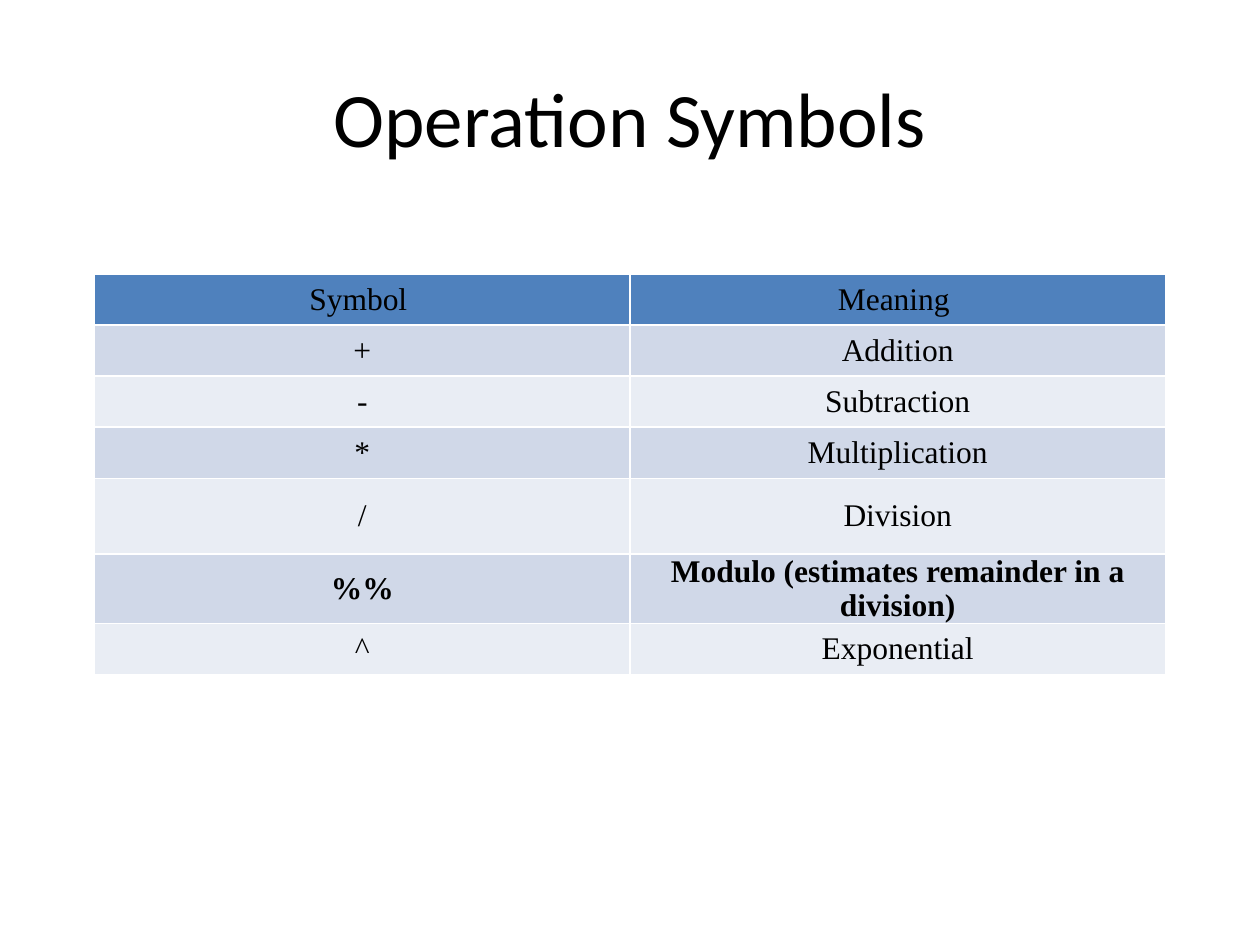
from dataclasses import dataclass

import pptx
import pptx.dml.color
import pptx.enum.text
import pptx.util

Pt = pptx.util.Pt
CENTER = pptx.enum.text.PP_ALIGN.CENTER
MIDDLE = pptx.enum.text.MSO_ANCHOR.MIDDLE

COLORS = {
    "text": "000000",
    "header": "4F81BD",
    "odd_row": "D0D8E8",
    "even_row": "E9EDF4",
}
TITLE_FONT = {"name": "Calibri", "size": Pt(44), "bold": False}
TABLE_FONT = {"name": "Times New Roman", "size": Pt(18)}
TITLE_BOX = {"left": Pt(36), "top": Pt(21.6), "width": Pt(648), "height": Pt(90)}
CELL_FORMAT = {
    "margin_left": Pt(5),
    "margin_right": Pt(5),
    "margin_top": Pt(0),
    "margin_bottom": Pt(0),
    "vertical_anchor": MIDDLE,
}
TABLE_LEFT, TABLE_TOP, COLUMN_WIDTH = 54, 156.5, 306


@dataclass
class Operation:
    symbol: str
    meaning: str
    height: float = 29.2
    bold: bool = False


OPERATIONS = [
    Operation("Symbol ", "Meaning "),
    Operation("+", "Addition"),
    Operation("-", "Subtraction"),
    Operation("*", "Multiplication"),
    Operation("/", "Division", height=43.2),
    Operation("%%", "Modulo (estimates remainder in a division)", bold=True),
    Operation("^", "Exponential"),
]


def rgb(name: str) -> pptx.dml.color.RGBColor:
    return pptx.dml.color.RGBColor.from_string(COLORS[name])


def apply_format(target, values: dict) -> None:
    for name, value in values.items():
        setattr(target, name, value)


def write_text(frame, text: str, font: dict) -> None:
    para = frame.paragraphs[0]
    para.alignment = CENTER
    span = para.add_run()
    span.text = text
    apply_format(span.font, font)
    span.font.color.rgb = rgb("text")


def row_color(index: int) -> str:
    if index == 0:
        return "header"
    return "odd_row" if index % 2 else "even_row"


def add_title(page, text: str) -> None:
    box = page.shapes.title
    apply_format(box, TITLE_BOX)
    box.text_frame.vertical_anchor = MIDDLE
    write_text(box.text_frame, text, TITLE_FONT)


def add_operation_table(page, operations: list[Operation]) -> None:
    """Add the table; its default style supplies the white cell borders."""
    table = page.shapes.add_table(
        len(operations), 2, Pt(TABLE_LEFT), Pt(TABLE_TOP), Pt(2 * COLUMN_WIDTH),
        Pt(sum(operation.height for operation in operations)),
    ).table
    for column in table.columns:
        column.width = Pt(COLUMN_WIDTH)
    for index, operation in enumerate(operations):
        row = table.rows[index]
        row.height = Pt(operation.height)
        for cell, text in zip(row.cells, (operation.symbol, operation.meaning)):
            apply_format(cell, CELL_FORMAT)
            cell.fill.solid()
            cell.fill.fore_color.rgb = rgb(row_color(index))
            write_text(cell.text_frame, text, {**TABLE_FONT, "bold": operation.bold})


def main() -> None:
    deck = pptx.Presentation()
    apply_format(deck, {"slide_width": Pt(720), "slide_height": Pt(540)})
    page = deck.slides.add_slide(deck.slide_layouts.get_by_name("Title Only"))
    add_title(page, "Operation Symbols")
    add_operation_table(page, OPERATIONS)
    deck.save("out.pptx")


if __name__ == "__main__":
    main()
